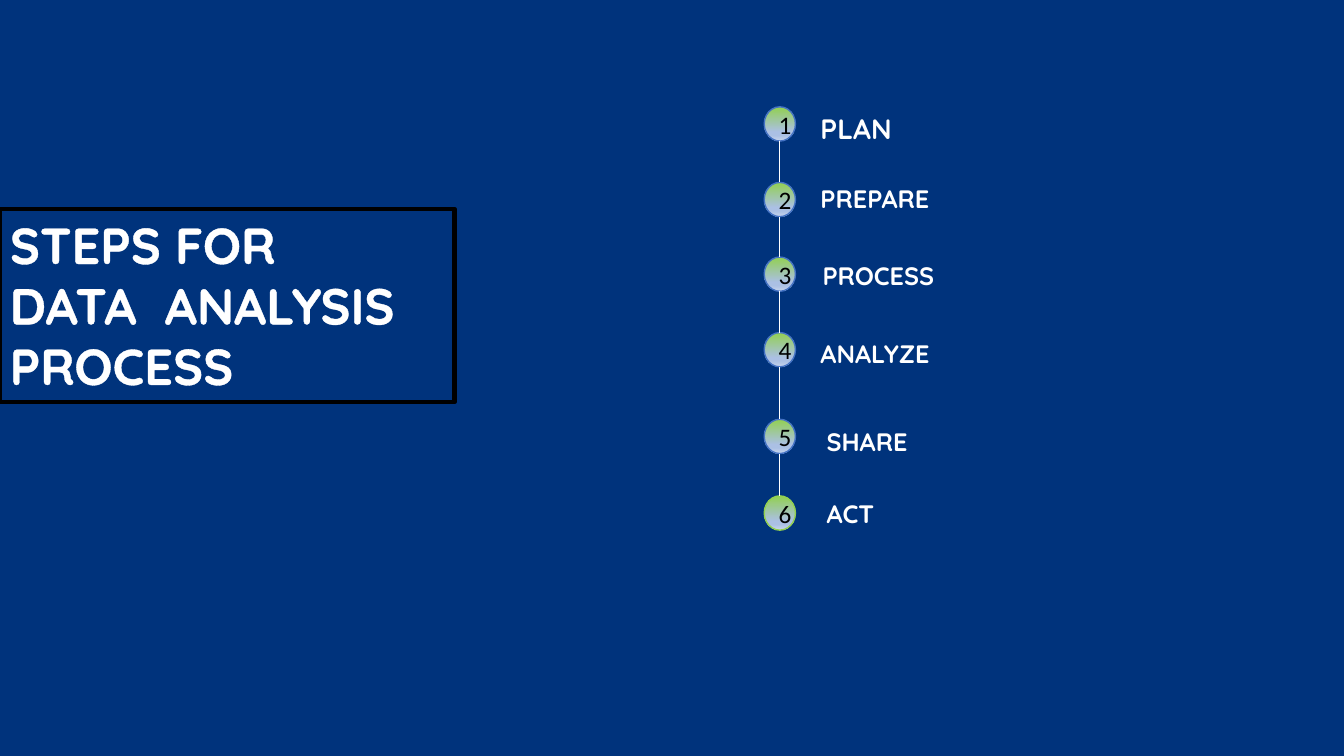
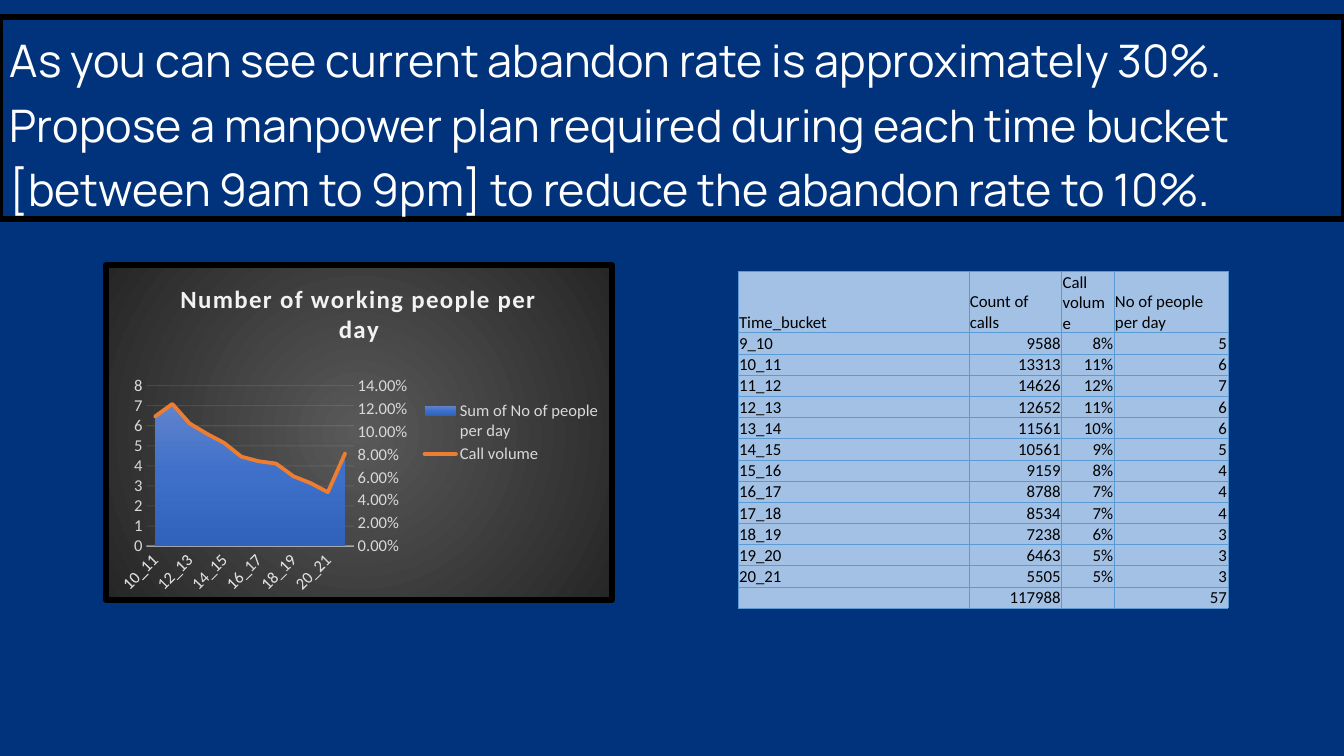
from pptx import Presentation, util as u
from pptx.chart import data as cd
from pptx.dml.color import RGBColor
from pptx.enum import chart as ch, shapes as sh, text as tx
from pptx.oxml import parse_xml, ns

HUE = {
    "back": "00337C", "white": "FFFFFF", "black": "000000", "blue": "4472C4",
    "green": "92D050", "haze": "ABC0E4", "pale": "C7D5ED", "cell": "A3C1E5",
    "edge": "5B9BD5", "soft": "D9D9D9", "light": "F2F2F2", "orange": "ED7D31",
    "gray": "595959", "dark": "262626",
    "sky": "6183CB", "mid": "3E70CA", "deep": "3062BB",
}
WIDE, HIGH = u.Inches(13.33), u.Inches(7.5)
PAGE = (0, 0, WIDE, HIGH)
NS = ns.nsdecls("a", "c")
ROUND = [(0, "green"), (74, "haze"), (83, "haze"), (100, "pale")]
STEPS = [
    ("PLAN", 0, 16.97, 0, 20), ("PREPARE", 17.86, 16.97, 16.9, 18),
    ("PROCESS", 35.48, 17.71, 35, 18), ("ANALYZE", 53.33, 16.97, 53.57, 18),
    ("SHARE", 73.81, 19.19, 74.29, 18), ("ACT", 91.9, 19.19, 91.19, 18),
]
HEAD = ("Time_bucket", "Count of calls", "Call volume", "No of people per day")
CALLS = [9588, 13313, 14626, 12652, 11561, 10561, 9159, 8788, 8534, 7238, 6463, 5505]
RATES = [8, 11, 12, 11, 10, 9, 8, 7, 7, 6, 5, 5]
STAFF = [5, 6, 7, 6, 6, 5, 4, 4, 4, 3, 3, 3]
HOURS = [f"{h}_{h + 1}" for h in range(9, 21)]
NEED = [6.4, 7.1, 6.1, 5.6, 5.1, 4.4, 4.2, 4.1, 3.5, 3.1, 2.7, 4.6]
SHARE = [0.113, 0.124, 0.107, 0.098, 0.09, 0.078, 0.074, 0.072, 0.061, 0.055, 0.047, 0.081]


def rgb(name):
    return RGBColor.from_string(HUE[name])


def part(box, x, y, w, h):
    left, top, wide, high = box
    return (int(left + wide * x / 100), int(top + high * y / 100),
            int(wide * w / 100), int(high * h / 100))


def style(font, size, name, hue, bold=None):
    font.size, font.name, font.bold = u.Pt(size), name, bold
    font.color.rgb = rgb(hue)


def stroke(line, hue, width):
    line.color.rgb = rgb(hue)
    line.width = u.Pt(width)


def solid(hue):
    return f'<a:solidFill><a:srgbClr val="{HUE[hue]}"/></a:solidFill>'


def blend(stops, glow=False):
    marks = "".join(f'<a:gs pos="{pos * 1000}"><a:srgbClr val="{HUE[hue]}"/></a:gs>'
                    for pos, hue in stops)
    way = ('<a:path path="circle"><a:fillToRect l="50000" t="50000" r="50000" b="50000"/></a:path>'
           if glow else '<a:lin ang="5400000" scaled="0"/>')
    return f'<a:gradFill {NS} rotWithShape="1"><a:gsLst>{marks}</a:gsLst>{way}</a:gradFill>'


def fade(line, share):
    for clr in line._ln.iter(ns.qn("a:srgbClr")):
        clr.append(parse_xml(f'<a:alpha {NS} val="{share * 1000}"/>'))


def panel(slide, box, lines, size, face, width, bold=None, space=None, rim=False):
    shape = slide.shapes.add_shape(sh.MSO_SHAPE.RECTANGLE, *box)
    shape.shadow.inherit = False
    shape.fill.background()
    stroke(shape.line, "black", width)
    frame = shape.text_frame
    frame.word_wrap = True
    frame.auto_size = tx.MSO_AUTO_SIZE.SHAPE_TO_FIT_TEXT
    frame.vertical_anchor = tx.MSO_ANCHOR.TOP
    frame.text = "\n".join(lines)
    for para in frame.paragraphs:
        para.alignment = tx.PP_ALIGN.LEFT
        para.line_spacing = space
        style(para.font, size, face, "white", bold)
        for run in para.runs if rim else ():
            run._r.get_or_add_rPr().insert(
                0, parse_xml(f'<a:ln {NS} w="9525">{solid("white")}</a:ln>'))


def badge(slide, box, num, edge):
    dot = slide.shapes.add_shape(sh.MSO_SHAPE.OVAL, *box)
    dot.shadow.inherit = False
    stroke(dot.line, edge, 1)
    dot._element.spPr.find(ns.qn("a:prstGeom")).addnext(parse_xml(blend(ROUND)))
    dot.text_frame.text = str(num)
    dot.text_frame.vertical_anchor = tx.MSO_ANCHOR.MIDDLE
    para = dot.text_frame.paragraphs[0]
    para.alignment = tx.PP_ALIGN.CENTER
    style(para.font, 18, "Calibri", "black")


def label(slide, box, words, size):
    frame = slide.shapes.add_textbox(*box).text_frame
    frame.word_wrap = True
    frame.text = words
    style(frame.paragraphs[0].font, size, "Quicksand", "white", True)


def steps(slide, box):
    last = None
    for num, (words, top, left, base, size) in enumerate(STEPS, 1):
        spot = part(box, 0, top, 11.44, 8.1)
        badge(slide, spot, num, "green" if num == len(STEPS) else "blue")
        label(slide, part(box, left, base, 80, 9.52), words, size)
        if last:
            mid = spot[0] + spot[2] // 2
            link = slide.shapes.add_connector(
                sh.MSO_CONNECTOR.STRAIGHT, mid, last[1] + last[3], mid, spot[1])
            stroke(link.line, "white", 0.5)
            link._element.spPr.append(parse_xml(f"<a:effectLst {NS}/>"))
        last = spot


def right(area):
    line = parse_xml(
        f'<c:lineChart {NS}><c:grouping val="standard"/><c:varyColors val="0"/>'
        '<c:marker val="1"/><c:axId val="501"/><c:axId val="502"/></c:lineChart>')
    ser = area.findall(ns.qn("c:ser"))[1]
    line.insert(2, ser)
    for old in ser.findall(ns.qn("c:spPr")):
        ser.remove(old)
    ser.find(ns.qn("c:tx")).addnext(parse_xml(
        f'<c:spPr {NS}><a:ln w="34925" cap="rnd">{solid("orange")}<a:round/></a:ln></c:spPr>'))
    ser.find(ns.qn("c:spPr")).addnext(
        parse_xml(f'<c:marker {NS}><c:symbol val="none"/></c:marker>'))
    ser.append(parse_xml(f'<c:smooth {NS} val="0"/>'))
    area.addnext(line)
    val = parse_xml(
        f'<c:valAx {NS}><c:axId val="502"/><c:scaling><c:orientation val="minMax"/>'
        '<c:max val="0.14"/><c:min val="0"/></c:scaling><c:delete val="0"/>'
        '<c:axPos val="r"/><c:numFmt formatCode="0.00%" sourceLinked="0"/>'
        '<c:majorTickMark val="none"/><c:minorTickMark val="none"/><c:tickLblPos val="nextTo"/>'
        '<c:spPr><a:ln><a:noFill/></a:ln></c:spPr><c:txPr><a:bodyPr/><a:p><a:pPr>'
        f'<a:defRPr sz="1200">{solid("soft")}<a:latin typeface="Calibri"/></a:defRPr>'
        '</a:pPr><a:endParaRPr lang="en-US"/></a:p></c:txPr><c:crossAx val="501"/>'
        '<c:crosses val="max"/><c:crossBetween val="between"/><c:majorUnit val="0.02"/></c:valAx>')
    cat = parse_xml(
        f'<c:catAx {NS}><c:axId val="501"/><c:scaling><c:orientation val="minMax"/></c:scaling>'
        '<c:delete val="1"/><c:axPos val="b"/><c:majorTickMark val="none"/>'
        '<c:minorTickMark val="none"/><c:tickLblPos val="nextTo"/><c:crossAx val="502"/>'
        '<c:crosses val="autoZero"/></c:catAx>')
    axis = area.getparent().findall(ns.qn("c:valAx"))[-1]
    axis.addnext(val)
    val.addnext(cat)


def heading(chart):
    frame = chart.chart_title.text_frame
    frame.text = "Number of working people per day"
    run = frame.paragraphs[0].runs[0]
    style(run.font, 18, "Calibri", "light", True)
    run._r.get_or_add_rPr().set("spc", "100")
    chart.chart_title.include_in_layout = False


def axes(chart):
    cat, val = chart.category_axis, chart.value_axis
    for axis in (cat, val):
        axis.major_tick_mark = axis.minor_tick_mark = ch.XL_TICK_MARK.NONE
        style(axis.tick_labels.font, 12, "Calibri", "soft")
    cat._element.find(ns.qn("c:txPr")).find(ns.qn("a:bodyPr")).set("rot", "-2700000")
    stroke(cat.format.line, "light", 1)
    fade(cat.format.line, 54)
    cat.has_major_gridlines = False
    val.format.line.fill.background()
    val.minimum_scale, val.maximum_scale, val.major_unit = 0, 8, 1
    val.tick_labels.number_format = "General"
    val.tick_labels.number_format_is_linked = False
    val.has_major_gridlines = True
    stroke(val.major_gridlines.format.line, "light", 0.75)
    fade(val.major_gridlines.format.line, 10)
    val._element.find(ns.qn("c:crossBetween")).set("val", "between")


def graph(slide, box):
    data = cd.CategoryChartData()
    data.categories = HOURS[1:] + HOURS[:1]
    data.add_series("Sum of No of people per day", NEED)
    data.add_series("Call volume", SHARE, "0.00%")
    chart = slide.shapes.add_chart(ch.XL_CHART_TYPE.AREA, *box, data).chart
    style(chart.font, 10, "Calibri", "black")
    heading(chart)
    axes(chart)
    chart.has_legend = True
    chart.legend.position = ch.XL_LEGEND_POSITION.RIGHT
    chart.legend.include_in_layout = False
    style(chart.legend.font, 12, "Calibri", "soft")
    plot = chart.plots[0]
    plot.vary_by_categories = False
    ser = plot.series[0]
    ser.format.fill.background()
    spot = ser._element.find(ns.qn("c:spPr"))
    spot.replace(spot[0], parse_xml(blend([(0, "sky"), (50, "mid"), (100, "deep")])))
    right(plot._element)
    area = plot._element.getparent()
    for old in area.findall(ns.qn("c:layout")):
        area.remove(old)
    sides = "".join(f'<c:{key} val="{val}"/>' for key, val in
                    (("x", 0.08), ("y", 0.36), ("w", 0.41), ("h", 0.48)))
    area.insert(0, parse_xml(
        f'<c:layout {NS}><c:manualLayout><c:layoutTarget val="inner"/><c:xMode val="edge"/>'
        f'<c:yMode val="edge"/>{sides}</c:manualLayout></c:layout>'))
    area.getparent().addnext(parse_xml(
        f'<c:spPr {NS}>{blend([(0, "gray"), (100, "dark")], True)}'
        f'<a:ln w="57150">{solid("black")}<a:round/></a:ln></c:spPr>'))


def fill(cell, words, side):
    cell.fill.solid()
    cell.fill.fore_color.rgb = rgb("cell")
    cell.margin_left = cell.margin_right = cell.margin_top = u.Inches(0.01)
    cell.margin_bottom = 0
    cell.vertical_anchor = tx.MSO_ANCHOR.BOTTOM
    cell.text = words
    para = cell.text_frame.paragraphs[0]
    para.alignment = side
    style(para.font, 12, "Calibri", "black")
    props = cell._tc.get_or_add_tcPr()
    for pos, edge in enumerate("LRTB"):
        props.insert(pos, parse_xml(f'<a:ln{edge} {NS} w="6350">{solid("edge")}</a:ln{edge}>'))


def table(slide, box):
    rows = [HEAD]
    rows += [(hour, str(call), f"{rate}%", str(crew))
             for hour, call, rate, crew in zip(HOURS, CALLS, RATES, STAFF)]
    rows.append(("", str(sum(CALLS)), "", "57"))
    grid = slide.shapes.add_table(len(rows), len(HEAD), *box).table
    grid.first_row = grid.horz_banding = False
    for col, wide in zip(grid.columns, (47.12, 18.93, 10.7, 23.25)):
        col.width = int(box[2] * wide / 100)
    top = int(box[3] * 0.18)
    for r, row in enumerate(rows):
        grid.rows[r].height = (box[3] - top) // (len(rows) - 1) if r else top
        for c, words in enumerate(row):
            side = tx.PP_ALIGN.RIGHT if r and c else tx.PP_ALIGN.LEFT
            fill(grid.cell(r, c), words, side)


def fresh(deck):
    slide = deck.slides.add_slide(deck.slide_layouts[6])
    slide.background.fill.solid()
    slide.background.fill.fore_color.rgb = rgb("back")
    return slide


def process(deck):
    slide = fresh(deck)
    panel(slide, part(PAGE, 0, 27.6, 33.83, 25.6),
          ["STEPS FOR", "DATA  ANALYSIS", "PROCESS"], 36, "Quicksand", 3, True, rim=True)
    steps(slide, part(PAGE, 56.86, 14.13, 20.33, 56))


def plan(deck):
    slide = fresh(deck)
    words = ("As you can see current abandon rate is approximately 30%. "
             "Propose a manpower plan required during each time bucket "
             "[between 9am to 9pm] to reduce the abandon rate to 10%.")
    panel(slide, part(PAGE, 0, 2.27, 100, 26.67), [words], 32, "Manrope", 4.5, space=1.2)
    graph(slide, part(PAGE, 7.65, 34.67, 38.11, 45.07))
    table(slide, part(PAGE, 54.91, 35.87, 36.46, 44))


def main():
    deck = Presentation()
    deck.slide_width, deck.slide_height = WIDE, HIGH
    process(deck)
    plan(deck)
    deck.save("out.pptx")


if __name__ == "__main__":
    main()
